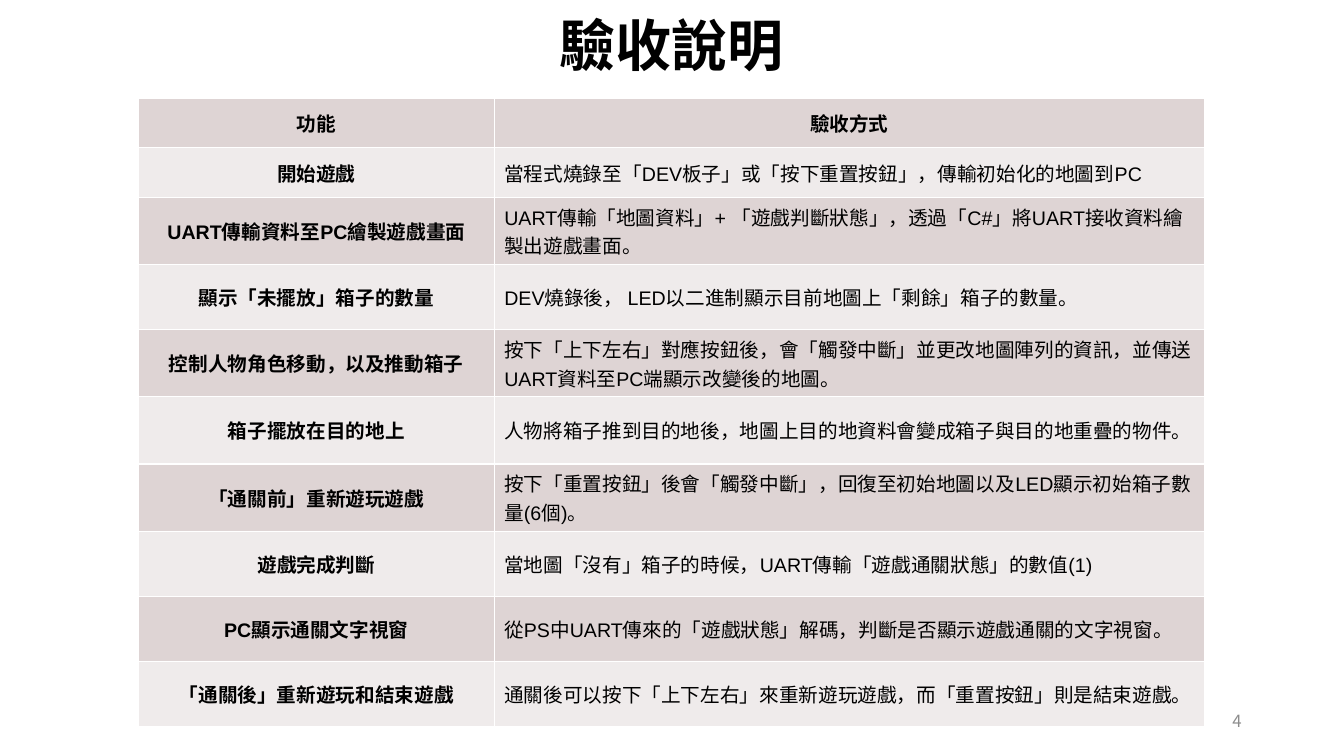
from lxml.etree import SubElement as Sub
from pptx import Presentation
from pptx.dml.color import RGBColor
from pptx.enum.text import MSO_ANCHOR as Anchor, PP_ALIGN as Align
from pptx.oxml.ns import qn
from pptx.util import Pt

BLACK = RGBColor(0x00, 0x00, 0x00)
GREY = RGBColor(0x8C, 0x8C, 0x8C)
DARK = RGBColor(0xDE, 0xD4, 0xD4)
LIGHT = RGBColor(0xEF, 0xEB, 0xEB)
EAST = "Noto Sans CJK TC"

HEAD = ("功能", "驗收方式")
TESTS = [
    ("開始遊戲", "當程式燒錄至「DEV板子」或「按下重置按鈕」，傳輸初始化的地圖到PC"),
    ("UART傳輸資料至PC繪製遊戲畫面",
     "UART傳輸「地圖資料」+ 「遊戲判斷狀態」，透過「C#」將UART接收資料繪製出遊戲畫面。"),
    ("顯示「未擺放」箱子的數量",
     "DEV燒錄後， LED以二進制顯示目前地圖上「剩餘」箱子的數量。"),
    ("控制人物角色移動，以及推動箱子",
     "按下「上下左右」對應按鈕後，會「觸發中斷」並更改地圖陣列的資訊，並傳送UART資料至PC端顯示改變後的地圖。"),
    ("箱子擺放在目的地上",
     "人物將箱子推到目的地後，地圖上目的地資料會變成箱子與目的地重疊的物件。"),
    ("「通關前」重新遊玩遊戲",
     "按下「重置按鈕」後會「觸發中斷」，回復至初始地圖以及LED顯示初始箱子數量(6個)。"),
    ("遊戲完成判斷", "當地圖「沒有」箱子的時候，UART傳輸「遊戲通關狀態」的數值(1)"),
    ("PC顯示通關文字視窗",
     "從PS中UART傳來的「遊戲狀態」解碼，判斷是否顯示遊戲通關的文字視窗。"),
    ("「通關後」重新遊玩和結束遊戲",
     "通關後可以按下「上下左右」來重新遊玩遊戲，而「重置按鈕」則是結束遊戲。"),
]
WIDTHS = (254, 507.5)
HEIGHTS = (35, 35.5, 48, 46.5, 48, 48, 48, 46.5, 46.5, 46.5)


def write(frame, text, size, face, color, bold, align):
    frame.text = text
    para = frame.paragraphs[0]
    para.alignment = align
    font = para.font
    font.size = Pt(size)
    font.bold = bold
    font.color.rgb = color
    font.name = face
    latin = font._element.find(qn("a:latin"))
    east = Sub(font._element, qn("a:ea"), typeface=EAST)
    latin.addnext(east)


def add_text(slide, box, text, size, face, color, bold, align, wrap):
    frame = slide.shapes.add_textbox(*map(Pt, box)).text_frame
    frame.word_wrap = wrap
    frame.vertical_anchor = Anchor.MIDDLE
    write(frame, text, size, face, color, bold, align)


def add_edges(cell):
    props = cell._tc.get_or_add_tcPr()
    for side in ("lnL", "lnR", "lnT", "lnB"):
        line = Sub(props, qn(f"a:{side}"), w=str(Pt(1)))
        fill = Sub(line, qn("a:solidFill"))
        Sub(fill, qn("a:srgbClr"), val="FFFFFF")


def add_grid(slide, left, top, rows):
    table = slide.shapes.add_table(
        len(rows), len(WIDTHS), Pt(left), Pt(top),
        Pt(sum(WIDTHS)), Pt(sum(HEIGHTS))).table
    for col, width in zip(table.columns, WIDTHS):
        col.width = Pt(width)
    for r, texts in enumerate(rows):
        table.rows[r].height = Pt(HEIGHTS[r])
        for c, text in enumerate(texts):
            cell = table.cell(r, c)
            label = r == 0 or c == 0
            add_edges(cell)
            cell.fill.solid()
            cell.fill.fore_color.rgb = LIGHT if r % 2 else DARK
            cell.vertical_anchor = Anchor.MIDDLE
            write(cell.text_frame, text, 14, "Arial", BLACK, label,
                  Align.CENTER if label else Align.LEFT)


def main():
    deck = Presentation()
    deck.slide_width, deck.slide_height = Pt(960), Pt(540)
    slide = deck.slides.add_slide(deck.slide_layouts[6])
    add_text(slide, (391.7, 3.6, 175.7, 55.4), "驗收說明", 40, "Lato",
             BLACK, True, Align.CENTER, False)
    add_text(slide, (678, 500.5, 216, 28.75), "4", 12, EAST,
             GREY, False, Align.RIGHT, True)
    add_grid(slide, 99, 70.5, [HEAD] + TESTS)
    deck.save("out.pptx")


if __name__ == "__main__":
    main()
